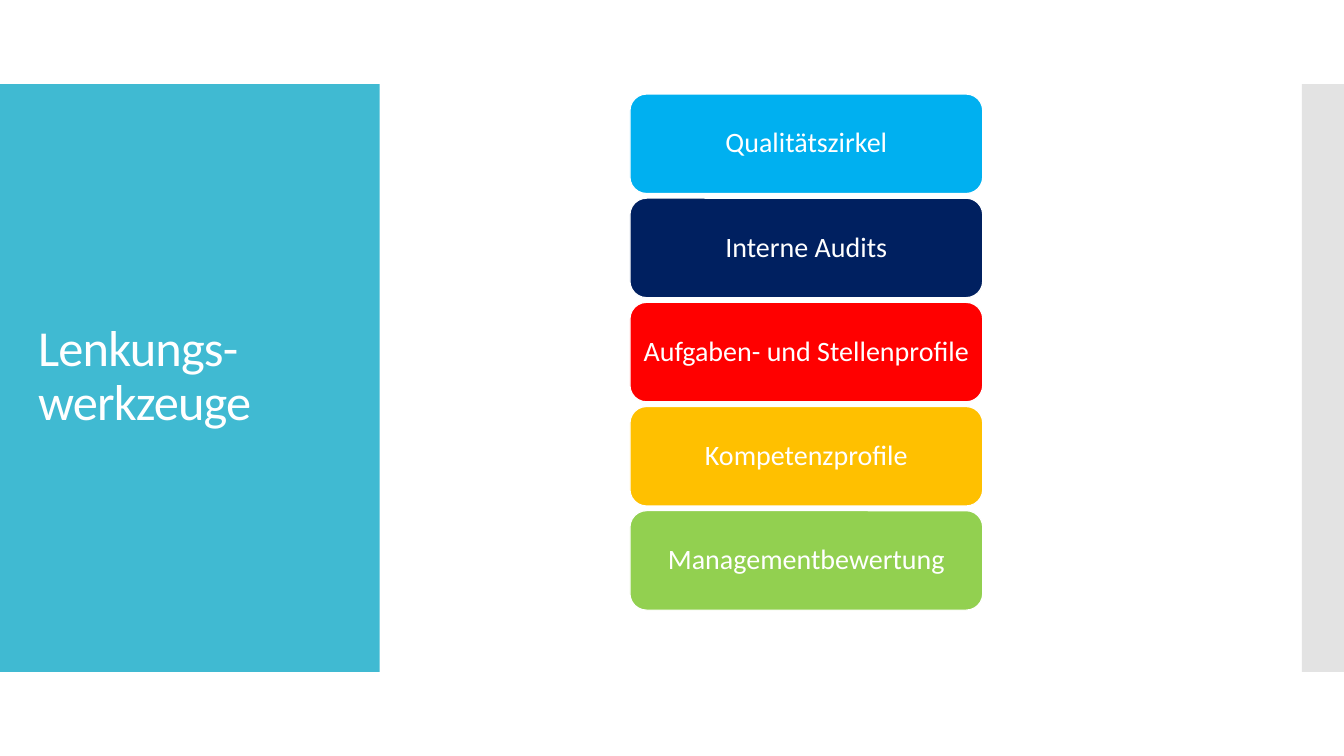
from dataclasses import dataclass

from lxml import etree
from pptx import Presentation
from pptx.dml.color import RGBColor
from pptx.enum.shapes import MSO_SHAPE
from pptx.enum.text import MSO_ANCHOR, PP_ALIGN
from pptx.oxml.ns import qn
from pptx.util import Pt

RECT = MSO_SHAPE.RECTANGLE
ROUNDED = MSO_SHAPE.ROUNDED_RECTANGLE
MIDDLE = MSO_ANCHOR.MIDDLE
LEFT = PP_ALIGN.LEFT
CENTER = PP_ALIGN.CENTER

EMU_PER_PX = 3048
BAND_TOP, BAND_HEIGHT = 250, 1750
TOOL_LEFT, TOOL_TOP, TOOL_WIDTH, TOOL_HEIGHT = 1875, 280, 1050, 296
TOOL_PITCH = 310


@dataclass(frozen=True)
class Theme:
    """Colours, font and sizes of the slide."""
    font: str = "Calibri"
    title_size: int = 36
    tool_size: int = 20
    outline: float = 0.85
    white: str = "FFFFFF"
    panel: str = "40BAD2"
    edge: str = "C8C8C8"
    sky: str = "00B0F0"
    navy: str = "002060"
    red: str = "FF0000"
    amber: str = "FFC000"
    green: str = "92D050"


THEME = Theme()
TOOLS = [
    ("Qualitätszirkel", THEME.sky),
    ("Interne Audits", THEME.navy),
    ("Aufgaben- und Stellenprofile", THEME.red),
    ("Kompetenzprofile", THEME.amber),
    ("Managementbewertung", THEME.green),
]


def px(*lengths):
    """Turn pixel lengths into EMU."""
    return [n * EMU_PER_PX for n in lengths]


def add_block(s, kind, box, color):
    """Add a filled shape without outline or shadow."""
    sp = s.shapes.add_shape(kind, *px(*box))
    sp.shadow.inherit = False
    sp.fill.solid()
    sp.fill.fore_color.rgb = RGBColor.from_string(color)
    sp.line.fill.background()
    return sp


def set_opacity(sp, percent):
    """Make the solid fill of a shape partly transparent."""
    color = sp.fill._xPr.find(qn("a:solidFill"))[0]
    etree.SubElement(color, qn("a:alpha")).set("val", str(percent * 1000))


def write_text(sp, text, size, align):
    """Write one white line of text, centred vertically in a shape."""
    tf = sp.text_frame
    tf.word_wrap = True
    tf.vertical_anchor = MIDDLE
    p = tf.paragraphs[0]
    p.alignment = align
    p.line_spacing = 0.9
    r = p.add_run()
    r.text = text
    r.font.name = THEME.font
    r.font.size = Pt(size)
    r.font.color.rgb = RGBColor.from_string(THEME.white)
    return r


def add_title(s, text):
    """Add the slide title over the coloured panel."""
    sp = s.shapes.add_textbox(*px(84, 369, 966, 1509))
    r = write_text(sp, text, THEME.title_size, LEFT)
    r.font._element.set("spc", "-60")


def add_tool(s, row, text, color):
    """Add one rounded tool box in its row of the stack."""
    top = TOOL_TOP + row * TOOL_PITCH
    sp = add_block(s, ROUNDED, (TOOL_LEFT, top, TOOL_WIDTH, TOOL_HEIGHT), color)
    sp.line.color.rgb = RGBColor.from_string(THEME.white)
    sp.line.width = Pt(THEME.outline)
    tf = sp.text_frame
    tf.margin_left, tf.margin_right, tf.margin_top, tf.margin_bottom = px(24, 24, 12, 12)
    write_text(sp, text, THEME.tool_size, CENTER)


def main():
    """Build the slide and save it."""
    prs = Presentation()
    prs.slide_width, prs.slide_height = px(4000, 2250)
    s = prs.slides.add_slide(prs.slide_layouts[6])
    add_block(s, RECT, (0, BAND_TOP, 1130, BAND_HEIGHT), THEME.panel)
    edge = add_block(s, RECT, (3875, BAND_TOP, 125, BAND_HEIGHT), THEME.edge)
    set_opacity(edge, 50)
    add_title(s, "Lenkungs-werkzeuge")
    for row, (text, color) in enumerate(TOOLS):
        add_tool(s, row, text, color)
    prs.save("out.pptx")


if __name__ == "__main__":
    main()
